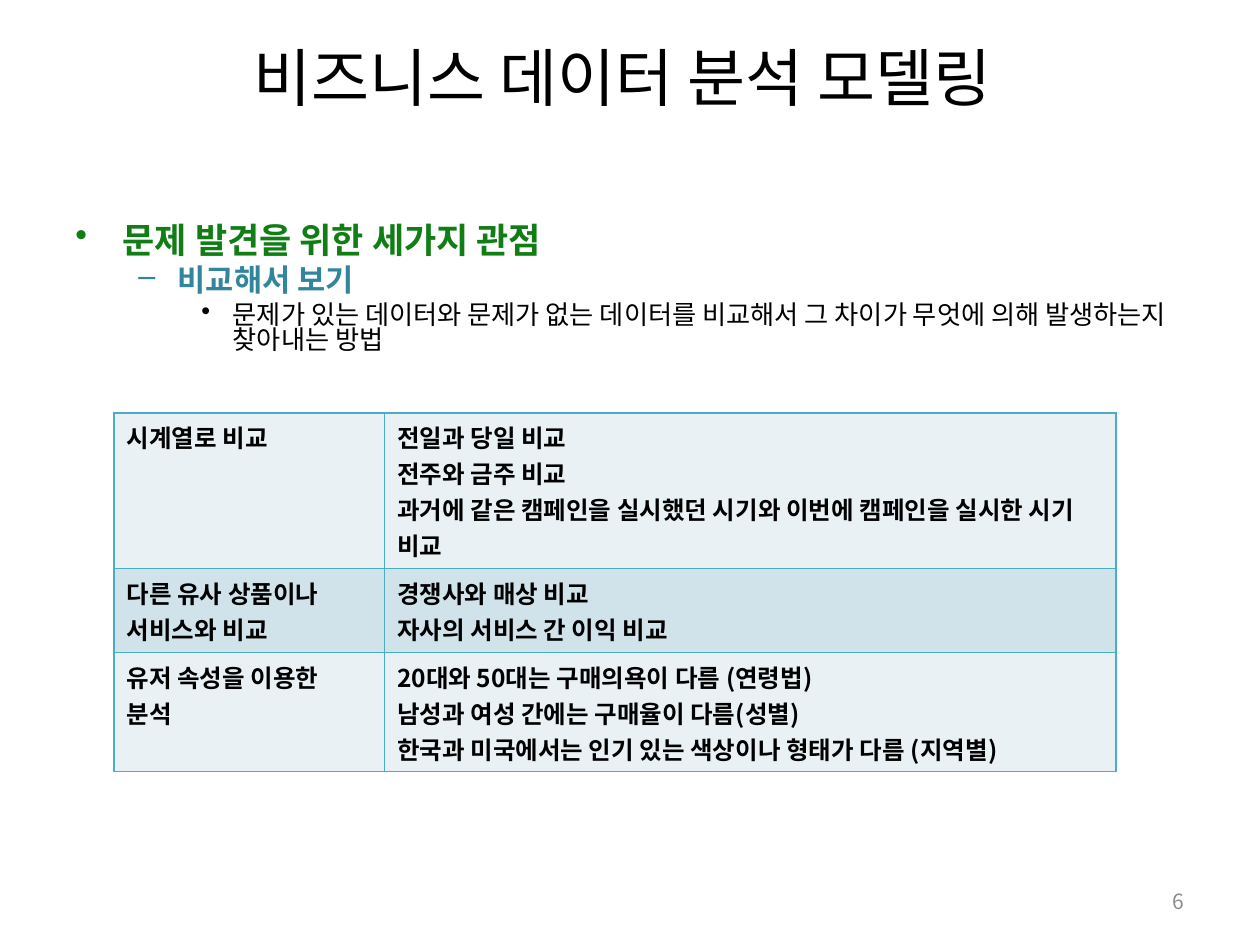
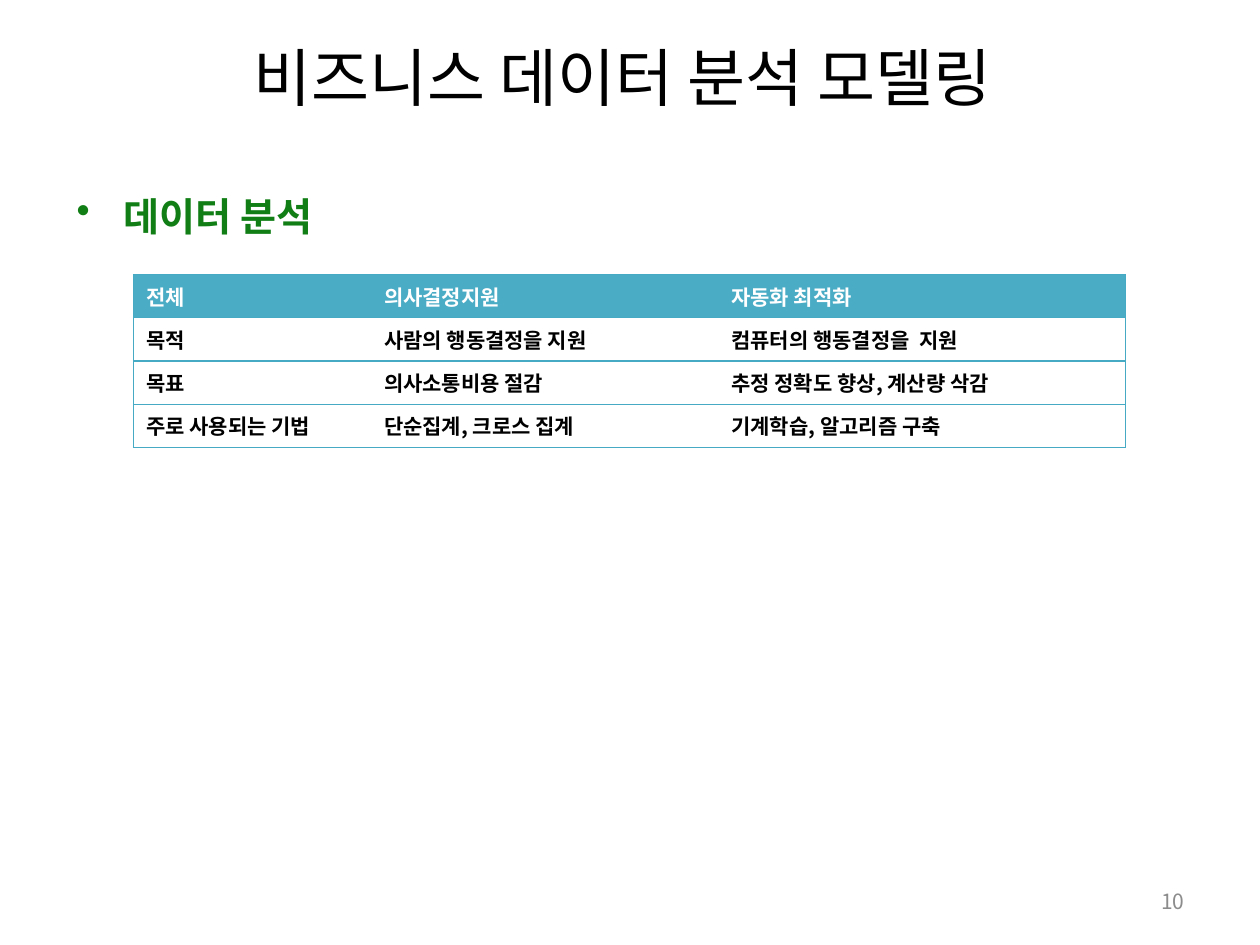
"""Builds two slides on modelling business data analysis."""
from lxml import etree
from pptx import Presentation
from pptx import util as u
from pptx.dml.color import RGBColor
from pptx.enum import text
from pptx.oxml import ns

FONT = "Noto Sans CJK KR"
HEADING = "비즈니스 데이터 분석 모델링 "
COLOURS = {
    "black": "000000",
    "white": "FFFFFF",
    "green": "107E15",
    "teal": "31859C",
    "grey": "8C8C8C",
    "grid": "4BACC6",
    "rule": "46AAC5",
    "light": "E9F1F5",
    "mid": "D0E3EA",
}
LEVELS = [
    {"bullet": "•", "margin": 27, "hang": 27, "before": 2, "colour": "green", "bold": True},
    {"bullet": "–", "margin": 58.5, "hang": 22.5, "before": 4.5, "colour": "teal", "bold": True},
    {"bullet": "•", "margin": 90, "hang": 18, "before": 4, "colour": "black", "bold": False},
]
COMPARISONS = [
    ("시계열로 비교",
     "전일과 당일 비교\n전주와 금주 비교\n"
     "과거에 같은 캠페인을 실시했던 시기와 이번에 캠페인을 실시한 시기 비교"),
    ("다른 유사 상품이나 서비스와 비교",
     "경쟁사와 매상 비교\n자사의 서비스 간 이익 비교"),
    ("유저 속성을 이용한  분석",
     "20대와 50대는 구매의욕이 다름 (연령법)\n남성과 여성 간에는 구매율이 다름(성별)\n"
     "한국과 미국에서는 인기 있는 색상이나 형태가 다름 (지역별)"),
]
ANALYSES = [
    ("전체", "의사결정지원", "자동화 최적화"),
    ("목적", "사람의 행동결정을 지원", "컴퓨터의 행동결정을  지원"),
    ("목표", "의사소통비용 절감", "추정 정확도 향상, 계산량 삭감"),
    ("주로 사용되는 기법", "단순집계, 크로스 집계", "기계학습, 알고리즘 구축"),
]


def add_run(paragraph, words, size, colour, bold=False):
    """Add one styled run, in the same font for Latin and Korean."""
    run = paragraph.add_run()
    run.text = words
    run.font.size = u.Pt(size)
    run.font.bold = bold
    run.font.color.rgb = RGBColor.from_string(COLOURS[colour])
    run.font.name = FONT
    etree.SubElement(run.font._element, ns.qn("a:ea"), typeface=FONT)


def add_frame(slide, left, top, width, height, anchor=text.MSO_ANCHOR.TOP):
    """Add a wrapping text box and return its text frame."""
    box = slide.shapes.add_textbox(*map(u.Pt, (left, top, width, height)))
    frame = box.text_frame
    frame.word_wrap = True
    frame.vertical_anchor = anchor
    return frame


def add_line(slide, place, words, size, colour, align):
    """Add a single line of text centred vertically in its place."""
    paragraph = add_frame(slide, *place, text.MSO_ANCHOR.MIDDLE).paragraphs[0]
    paragraph.alignment = align
    add_run(paragraph, words, size, colour)


def add_outline(slide, place, points):
    """Add bulleted points, one level deeper each, from (words, size) pairs."""
    frame = add_frame(slide, *place)
    for depth, ((words, size), level) in enumerate(zip(points, LEVELS)):
        paragraph = frame.add_paragraph() if depth else frame.paragraphs[0]
        paragraph.level = depth
        paragraph.line_spacing = 0.8
        paragraph.space_before = u.Pt(level["before"])
        properties = paragraph._p.get_or_add_pPr()
        properties.set("marL", str(u.Pt(level["margin"])))
        properties.set("indent", str(-u.Pt(level["hang"])))
        etree.SubElement(properties, ns.qn("a:buChar"), char=level["bullet"])
        add_run(paragraph, words, size, level["colour"], level["bold"])


def set_borders(cell, sides, colour, width):
    """Draw the given sides of a cell and hide the others."""
    properties = cell._tc.get_or_add_tcPr()
    for side in "LRTB":
        line = etree.SubElement(properties, ns.qn(f"a:ln{side}"), w=str(u.Pt(width)))
        if side in sides:
            fill = etree.SubElement(line, ns.qn("a:solidFill"))
            etree.SubElement(fill, ns.qn("a:srgbClr"), val=COLOURS[colour])
        else:
            etree.SubElement(line, ns.qn("a:noFill"))


def add_grid(slide, corner, widths, heights, rows, size, fills, border, inner=True):
    """Add a bold-text table with one fill per row, None leaving it clear."""
    frame = slide.shapes.add_table(
        len(rows), len(widths), *map(u.Pt, (*corner, sum(widths), sum(heights))))
    table = frame.table
    table.first_row = table.horz_banding = False
    for column, width in zip(table.columns, widths):
        column.width = u.Pt(width)
    for r, (entries, height, fill) in enumerate(zip(rows, heights, fills)):
        table.rows[r].height = u.Pt(height)
        for c, entry in enumerate(entries):
            cell = table.cell(r, c)
            left = "L" if inner or c == 0 else ""
            right = "R" if inner or c == len(widths) - 1 else ""
            set_borders(cell, "TB" + left + right, *border)
            if fill:
                cell.fill.solid()
                cell.fill.fore_color.rgb = RGBColor.from_string(COLOURS[fill])
            else:
                cell.fill.background()
            ink = "white" if fill == "grid" else "black"
            for i, words in enumerate(entry.split("\n")):
                lines = cell.text_frame
                paragraph = lines.add_paragraph() if i else lines.paragraphs[0]
                add_run(paragraph, words, size, ink, True)


def add_page(deck, number):
    """Add a blank slide with the shared heading and its page number."""
    slide = deck.slides.add_slide(deck.slide_layouts[6])
    add_line(slide, (36, 21.6, 648, 44), HEADING, 36, "black", text.PP_ALIGN.CENTER)
    add_line(slide, (516, 500.4, 168, 28.8), str(number), 12, "grey", text.PP_ALIGN.RIGHT)
    return slide


def main():
    """Build both slides and save the deck."""
    deck = Presentation()
    deck.slide_width, deck.slide_height = u.Pt(720), u.Pt(540)

    viewpoints = add_page(deck, 6)
    add_outline(viewpoints, (36, 126, 648, 87), [
        ("문제 발견을 위한 세가지 관점", 20),
        ("비교해서 보기", 17.5),
        ("문제가 있는 데이터와 문제가 없는 데이터를 비교해서 그 차이가 무엇에 의해 "
         "발생하는지 찾아내는 방법", 15),
    ])
    add_grid(viewpoints, (65.2, 236), (154.6, 418), (89, 48, 68), COMPARISONS, 14,
             ("light", "mid", "light"), ("grid", 1))

    analysis = add_page(deck, 10)
    add_outline(analysis, (36.7, 111.6, 648, 28), [("데이터 분석", 22.4)])
    add_grid(analysis, (76.3, 157), (136, 198.4, 232.6), [24.65] * 4, ANALYSES, 12,
             ("grid", None, None, None), ("rule", 0.75), inner=False)

    deck.save("out.pptx")


if __name__ == "__main__":
    main()
